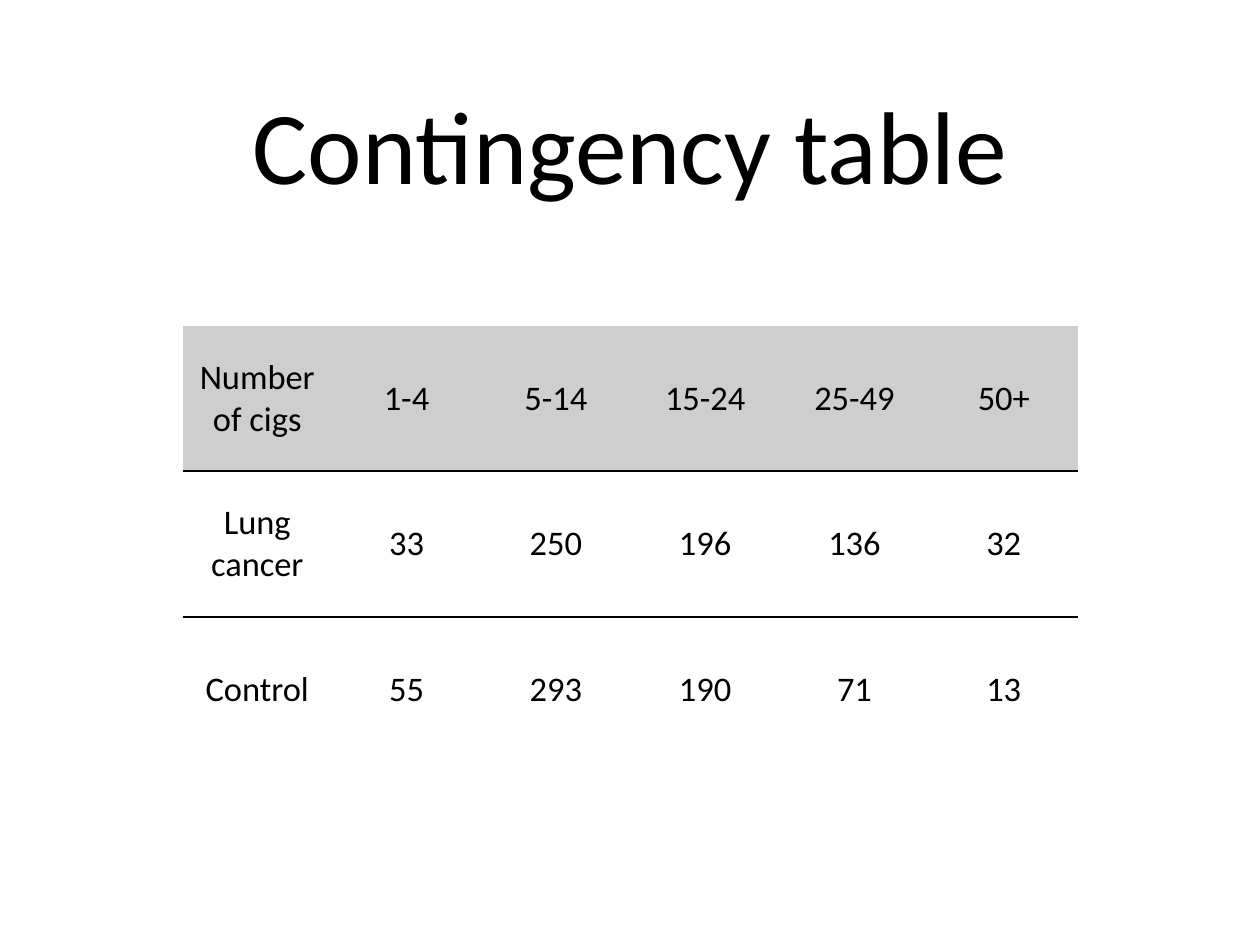
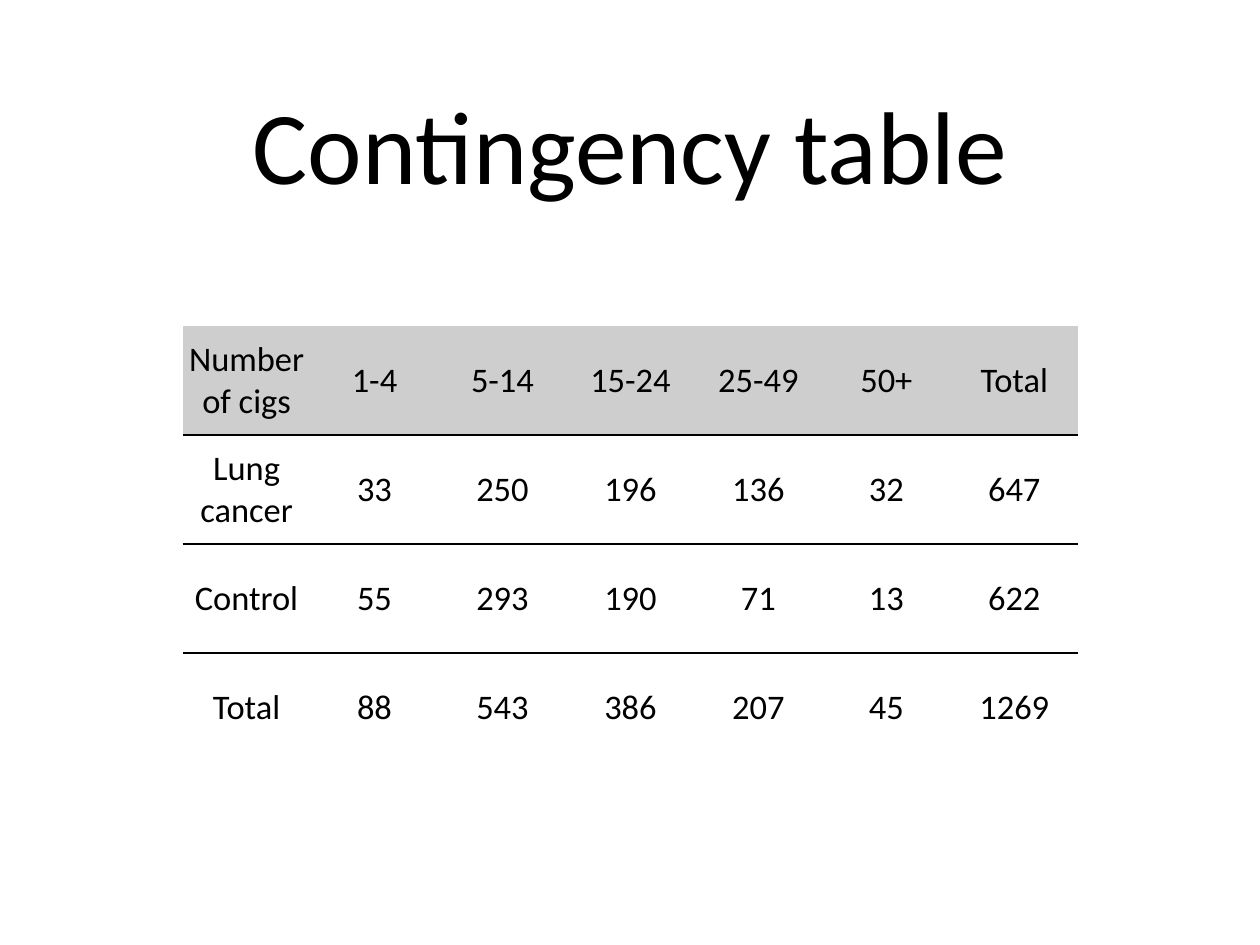
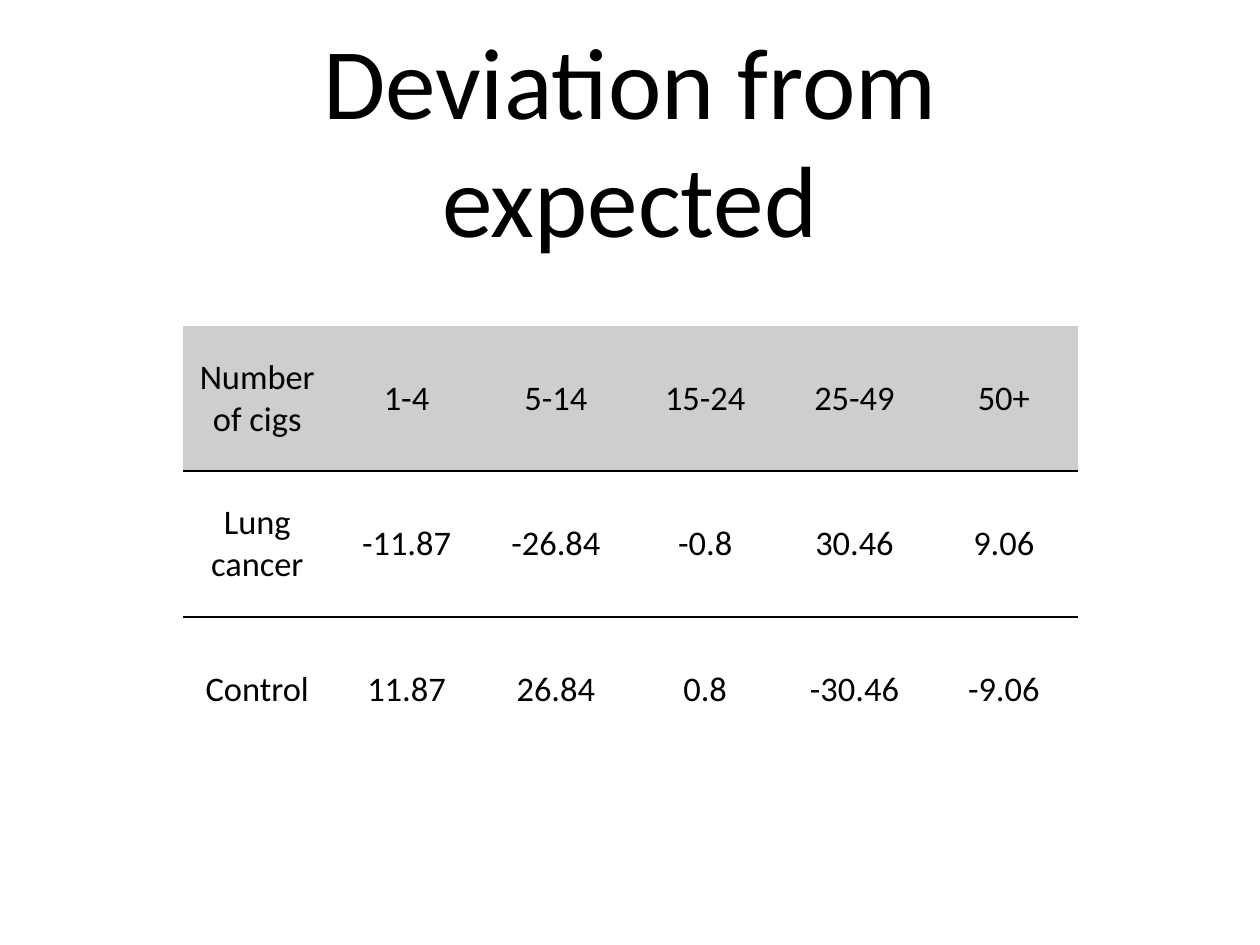
from pptx import Presentation
from pptx.dml.color import RGBColor
from pptx.enum.text import MSO_ANCHOR, MSO_AUTO_SIZE, PP_ALIGN
from pptx.oxml import parse_xml
from pptx.oxml.ns import nsdecls
from pptx.util import Inches, Pt

MIDDLE = MSO_ANCHOR.MIDDLE
CENTER = PP_ALIGN.CENTER
FIXED = MSO_AUTO_SIZE.NONE

BLACK = RGBColor(0x00, 0x00, 0x00)
GREY = RGBColor(0xCE, 0xCE, 0xCE)

FONT = "Calibri"
INSET = Inches(0.06)
RULE = Pt(2)

# Left, top, width and height in percent of the slide
TITLE_BOX = (9.77, 2.62, 80.45, 25.02)
TABLE_BOX = (14.49, 34.49, 71.1, 46.2)

# Table content
HEAD = ["Number of cigs", "1-4", "5-14", "15-24", "25-49", "50+"]
CANCER = [33, 250, 196, 136, 32]
CONTROL = [55, 293, 190, 71, 13]
GAPS = ["-11.87", "-26.84", "-0.8", "30.46", "9.06"]
BACK = ["11.87", "26.84", "0.8", "-30.46", "-9.06"]


class Deck:
    """Holds the shared style and the current slide."""

    def __init__(self):
        self.prs = Presentation()
        self.prs.slide_width = Inches(14.22)
        self.prs.slide_height = Inches(10.67)
        self.slide = None

    def place(self, box):
        wide, high = self.prs.slide_width, self.prs.slide_height
        return [round(part * side / 100)
                for part, side in zip(box, (wide, high, wide, high))]

    def style(self, para, size):
        para.alignment = CENTER
        para.font.name = FONT
        para.font.size = Pt(size)
        para.font.bold = False
        para.font.color.rgb = BLACK

    def inset(self, item):
        item.margin_left = item.margin_right = INSET
        item.margin_top = item.margin_bottom = INSET
        item.vertical_anchor = MIDDLE

    def title(self, text, size=84, pitch=1.0):
        """Start a slide with its title."""
        self.slide = self.prs.slides.add_slide(self.prs.slide_layouts[5])
        shape = self.slide.shapes.title
        shape.left, shape.top, shape.width, shape.height = self.place(TITLE_BOX)
        frame = shape.text_frame
        frame.text = text
        frame.word_wrap = True
        frame.auto_size = FIXED
        self.inset(frame)
        para = frame.paragraphs[0]
        para.line_spacing = pitch
        self.style(para, size)

    def edges(self, cell, ruled):
        """Draw the ruled sides of a cell and clear the others."""
        props = cell._tc.get_or_add_tcPr()
        for spot, side in enumerate("LRTB"):
            if side in ruled:
                paint = f'<a:solidFill><a:srgbClr val="{BLACK}"/></a:solidFill>'
            else:
                paint = "<a:noFill/>"
            props.insert(spot, parse_xml(
                f'<a:ln{side} {nsdecls("a")} w="{RULE}">{paint}</a:ln{side}>'))

    def table(self, rows):
        """Add an even grid with a grey head and rules between the rows."""
        count, span = len(rows), len(rows[0])
        left, top, width, height = self.place(TABLE_BOX)
        grid = self.slide.shapes.add_table(
            count, span, left, top, width, height).table
        grid.first_row = grid.horz_banding = False
        for col in grid.columns:
            col.width = width // span
        for index, row in enumerate(rows):
            grid.rows[index].height = height // count
            ruled = ("T" if index else "") + ("B" if index < count - 1 else "")
            for cell, value in zip(grid.rows[index].cells, row):
                cell.text = str(value)
                self.inset(cell)
                self.style(cell.text_frame.paragraphs[0], 28)
                if index == 0:
                    cell.fill.solid()
                    cell.fill.fore_color.rgb = GREY
                else:
                    cell.fill.background()
                self.edges(cell, ruled)


def main():
    deck = Deck()

    # Counts
    deck.title("Contingency table")
    deck.table([HEAD, ["Lung cancer", *CANCER], ["Control", *CONTROL]])

    # Counts with totals
    sums = [a + b for a, b in zip(CANCER, CONTROL)]
    body = [("Lung cancer", CANCER), ("Control", CONTROL), ("Total", sums)]
    deck.title("Contingency table")
    deck.table([[*HEAD, "Total"]]
               + [[name, *vals, sum(vals)] for name, vals in body])

    # Deviations
    deck.title("Deviation from expected", 82.3, 0.97)
    deck.table([HEAD, ["Lung cancer", *GAPS], ["Control", *BACK]])

    deck.prs.save("out.pptx")


if __name__ == "__main__":
    main()
